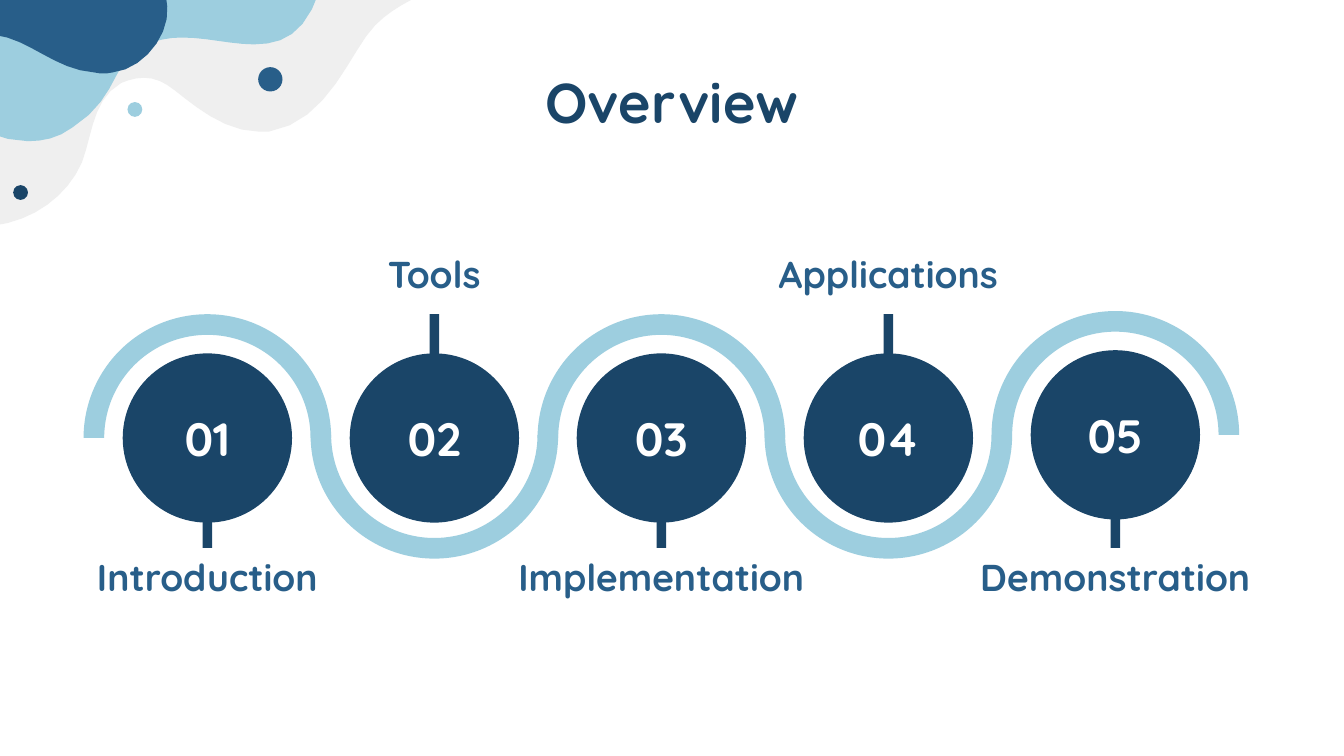
from math import ceil, dist

from pptx import Presentation
from pptx.dml.color import RGBColor
from pptx.enum.shapes import MSO_SHAPE
from pptx.enum.text import MSO_ANCHOR, PP_ALIGN
from pptx.util import Cm, Pt

COLORS = {
    "navy": "1A4568",
    "blue": "285E89",
    "sky": "9DCEDF",
    "mist": "EFEFEF",
    "white": "FFFFFF",
}
FONT = "Quicksand"

STEPS = [
    ("Introduction", 4.7),
    ("Tools", 4.7),
    ("Implementation", 6.25),
    ("Applications", 6.65),
    ("Demonstration", 6.65),
]
FIRST_X, PITCH, MIDDLE_Y, LIFT = 3.92, 4.29, 8.28, 0.06
DISC, RING, RING_WIDTH, HALF_TURN = 3.2, 4.68, 0.39, 108
STEM_WIDTH, STEM_HEIGHT, TEXT_HEIGHT = 0.18, 0.99, 0.99
UPPER_STEM_Y, LOWER_STEM_Y = 5.94, 9.37
UPPER_LABEL_Y, LOWER_LABEL_Y = 4.67, 10.41

BLOBS = [
    ("mist", (7.77, 0), [
        ((7.52, 0.13), (7.29, 0.28), (7.09, 0.48)),
        ((6.63, 0.94), (6.22, 2.31), (5.08, 2.49)),
        ((4.9, 2.49),),
        ((4.11, 2.49), (3.45, 1.78), (3.15, 1.6)),
        ((3.02, 1.52), (2.87, 1.47), (2.72, 1.47)),
        ((2.57, 1.47), (2.41, 1.52), (2.29, 1.57)),
        ((1.75, 1.88), (1.75, 2.54), (1.55, 3.07)),
        ((1.27, 3.71), (0.64, 4.17), (-0.13, 4.27)),
        ((-0.38, 0.05),),
        ((2.59, -0.18),),
        ((7.75, -0.33),),
        ((8.48, -0.23),),
    ]),
    ("sky", (0.53, 2.67), [
        ((-0.13, 2.67), (-0.66, 2.26), (-0.66, 2.26)),
        ((-0.66, -0.2),),
        ((6.05, -0.2),),
        ((5.77, 0.66), (5.33, 0.84), (4.8, 0.84)),
        ((4.37, 0.84), (3.91, 0.71), (3.43, 0.71)),
        ((3.25, 0.71), (3.07, 0.74), (2.9, 0.79)),
        ((2.08, 0.99), (2.34, 1.8), (1.37, 2.41)),
        ((1.09, 2.62), (0.81, 2.67), (0.53, 2.67)),
    ]),
    ("blue", (1.78, 1.37), [
        ((1.91, 1.4), (2.01, 1.4), (2.13, 1.37)),
        ((2.62, 1.32), (3.07, 0.84), (3.15, 0.36)),
        ((3.2, 0), (3.1, -0.53), (2.72, -0.84)),
        ((2.31, -0.99),),
        ((-1.55, -0.79),),
        ((-1.88, -0.81),),
        ((-1.8, 0),),
        ((-1.4, 0.84),),
        ((-1.19, 0.89),),
        ((-0.89, 0.91), (-0.56, 0.64), (-0.1, 0.66)),
        ((0.56, 0.74), (1.04, 1.32), (1.78, 1.37)),
    ]),
]
DOTS = [
    (5.11, 1.5, 0.46, "blue"),
    (2.55, 2.07, 0.28, "sky"),
    (0.39, 3.64, 0.28, "navy"),
]


def paint(shape, color):
    """Give a shape a plain fill without line or shadow."""
    shape.shadow.inherit = False
    shape.fill.solid()
    shape.fill.fore_color.rgb = RGBColor.from_string(COLORS[color])
    shape.line.fill.background()


def trace(start, segments):
    """Return points along a chain of straight lines and cubic curves."""
    points = [start]
    for segment in segments:
        if len(segment) == 1:
            points.append(segment[0])
            continue
        controls = (points[-1], *segment)
        count = min(8, 1 + ceil(3 * dist(controls[0], controls[-1])))
        for index in range(1, count + 1):
            t = index / count
            weights = ((1 - t) ** 3, 3 * t * (1 - t) ** 2, 3 * t * t * (1 - t), t ** 3)
            points.append(tuple(
                sum(weight * control[axis] for weight, control in zip(weights, controls))
                for axis in (0, 1)
            ))
    return points


def add_blob(slide, color, start, segments):
    """Draw a closed, curved corner decoration."""
    corners = [(Cm(x), Cm(y)) for x, y in trace(start, segments)]
    builder = slide.shapes.build_freeform(*corners[0])
    builder.add_line_segments(corners[1:], close=True)
    paint(builder.convert_to_shape(), color)


def add_centred_shape(slide, kind, center_x, center_y, size, color):
    """Draw a square-boxed preset shape around its centre and return it."""
    shape = slide.shapes.add_shape(
        kind, Cm(center_x - size / 2), Cm(center_y - size / 2), Cm(size), Cm(size))
    paint(shape, color)
    return shape


def add_half_ring(slide, center_x, base_y, hangs):
    """Draw half a ring that rises or hangs from its base line."""
    shape = add_centred_shape(slide, MSO_SHAPE.BLOCK_ARC, center_x, base_y, RING, "sky")
    shape.adjustments[0] = 0 if hangs else HALF_TURN
    shape.adjustments[1] = HALF_TURN if hangs else 0
    shape.adjustments[2] = RING_WIDTH / RING


def add_stem(slide, center_x, top):
    """Draw the short bar between a disc and its label."""
    shape = slide.shapes.add_shape(
        MSO_SHAPE.RECTANGLE, Cm(center_x - STEM_WIDTH / 2), Cm(top),
        Cm(STEM_WIDTH), Cm(STEM_HEIGHT))
    paint(shape, "navy")


def add_text(slide, text, center_x, top, width, height, size, color, anchor=MSO_ANCHOR.MIDDLE):
    """Add a line of bold centred text."""
    box = slide.shapes.add_textbox(Cm(center_x - width / 2), Cm(top), Cm(width), Cm(height))
    frame = box.text_frame
    frame.word_wrap = True
    frame.vertical_anchor = anchor
    frame.margin_left = frame.margin_right = Cm(0.25)
    frame.margin_top = frame.margin_bottom = Cm(0.25)
    paragraph = frame.paragraphs[0]
    paragraph.text = text
    paragraph.alignment = PP_ALIGN.CENTER
    paragraph.font.name = FONT
    paragraph.font.size = Pt(size)
    paragraph.font.bold = True
    paragraph.font.color.rgb = RGBColor.from_string(COLORS[color])


def add_step(slide, index, label, label_width):
    """Draw one numbered stop of the wave with its stem and label."""
    center_x = FIRST_X + index * PITCH
    hangs = index % 2 == 1
    is_last = index == len(STEPS) - 1
    center_y = MIDDLE_Y - LIFT if is_last else MIDDLE_Y
    base_y = MIDDLE_Y - LIFT if hangs or is_last else MIDDLE_Y
    add_stem(slide, center_x, UPPER_STEM_Y if hangs else LOWER_STEM_Y)
    add_text(slide, label, center_x, UPPER_LABEL_Y if hangs else LOWER_LABEL_Y,
             label_width, TEXT_HEIGHT, 20, "blue")
    add_half_ring(slide, center_x, base_y, hangs)
    add_centred_shape(slide, MSO_SHAPE.OVAL, center_x, center_y, DISC, "navy")
    add_text(slide, f"{index + 1:02}", center_x, center_y - TEXT_HEIGHT / 2,
             DISC, TEXT_HEIGHT, 25, "white")


def main():
    """Build the overview slide."""
    presentation = Presentation()
    presentation.slide_width, presentation.slide_height = Cm(25.4), Cm(14.29)
    slide = presentation.slides.add_slide(presentation.slide_layouts[6])
    for blob in BLOBS:
        add_blob(slide, *blob)
    for dot in DOTS:
        add_centred_shape(slide, MSO_SHAPE.OVAL, *dot)
    add_text(slide, "Overview", 12.7, 1.02, 13.56, 1.6, 30, "navy", MSO_ANCHOR.TOP)
    for index, (label, label_width) in enumerate(STEPS):
        add_step(slide, index, label, label_width)
    presentation.save("out.pptx")


if __name__ == "__main__":
    main()
